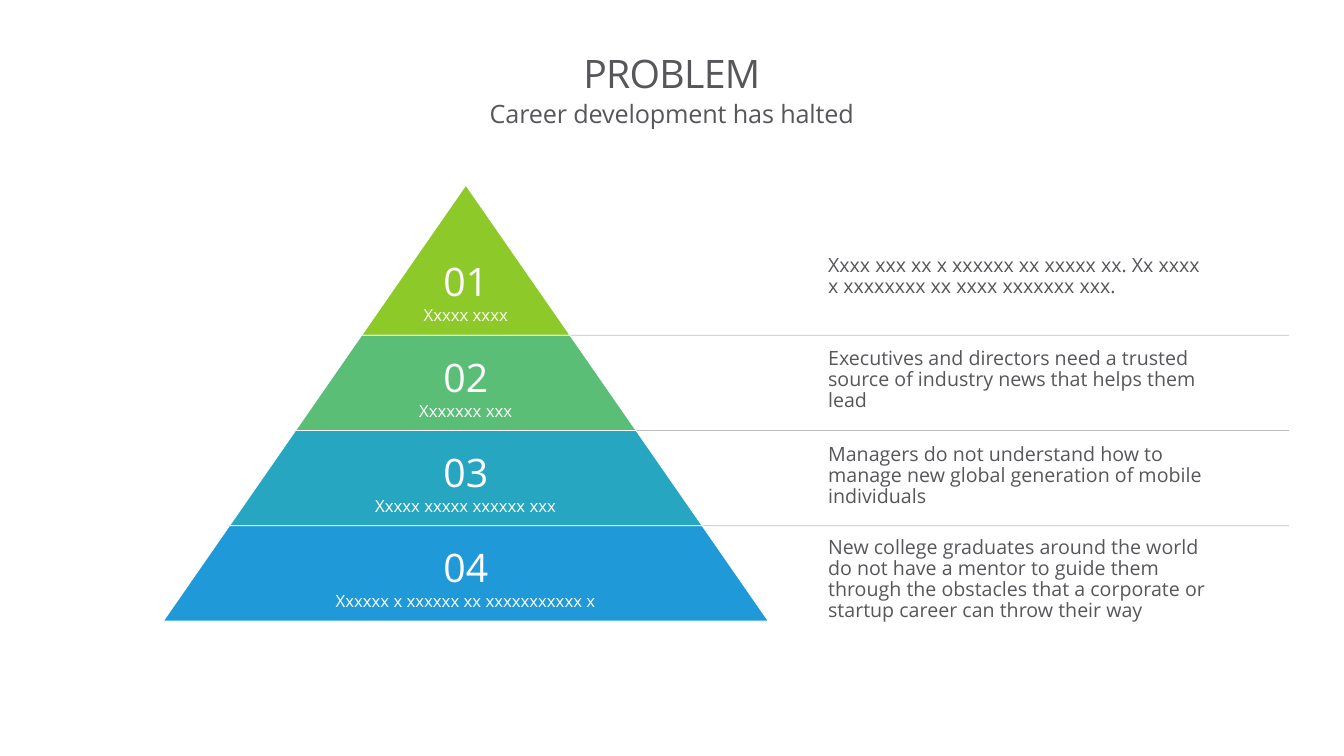
"""Build the career problem slide: a four-level pyramid with a description beside each level."""
from dataclasses import dataclass

from lxml.etree import SubElement
from pptx import Presentation
from pptx.dml.color import RGBColor
from pptx.enum.shapes import MSO_CONNECTOR, MSO_SHAPE
from pptx.enum.text import MSO_ANCHOR, MSO_AUTO_SIZE, PP_ALIGN
from pptx.oxml.ns import qn
from pptx.util import Cm, Pt

TITLE = "PROBLEM"
SUBTITLE = "Career development has halted"
LEVELS = [
    {"label": "Xxxxx xxxx", "height": 3.78, "fill": "8DC928",
     "text": "Xxxx xxx xx x xxxxxx xx xxxxx xx. Xx xxxx x xxxxxxxx xx xxxx xxxxxxx xxx.",
     "text_box": (6.32, 9.93, 1.35)},
    {"label": "Xxxxxxx xxx", "height": 2.4, "fill": "5BBE77",
     "text": "Executives and directors need a trusted source of industry news that helps them lead",
     "text_box": (8.66, 10.52, 1.35)},
    {"label": "Xxxxx xxxxx xxxxxx xxx", "height": 2.4, "fill": "27A6C2",
     "text": "Managers do not understand how to manage new global generation of mobile individuals",
     "text_box": (11.07, 9.93, 1.88)},
    {"label": "Xxxxxx x xxxxxx xx xxxxxxxxxxx x", "height": 2.4, "fill": "2099D8",
     "text": "New college graduates around the world do not have a mentor to guide them through "
             "the obstacles that a corporate or startup career can throw their way",
     "text_box": (13.41, 10.52, 2.41)},
]

APEX_X, APEX_Y = 11.74, 4.67
SLOPE = 0.694
RULE_LEFT, RULE_RIGHT = 12.8, 32.49
TEXT_LEFT = 20.62
NUMBER_W, NUMBER_H, NUMBER_RISE = 1.65, 1.45, 2.08


@dataclass(frozen=True)
class Theme:
    font: str = "Open Sans"
    ink: str = "57565A"
    white: str = "FFFFFF"
    rule: str = "808080"
    title: int = 28
    subtitle: int = 18
    text: int = 14
    label: int = 12
    number: int = 28
    hairline: float = 0.5


THEME = Theme()


def write(tf, text, size, color, align, spacing, anchor=MSO_ANCHOR.TOP, wrap=True):
    tf.auto_size = MSO_AUTO_SIZE.NONE
    tf.word_wrap = wrap
    tf.vertical_anchor = anchor
    p = tf.paragraphs[0]
    r = p.add_run()
    r.text = text
    p.alignment = align
    p.line_spacing = spacing
    p.space_before = Pt(0)
    p.font.name = THEME.font
    p.font.size = Pt(size)
    p.font.bold = False
    p.font.color.rgb = RGBColor.from_string(color)
    return r


def set_insets(tf, side, top, bottom):
    tf.margin_left = tf.margin_right = Cm(side)
    tf.margin_top, tf.margin_bottom = Cm(top), Cm(bottom)


def fill_heading(ph, top, height, text, size, anchor, tracking):
    ph.left, ph.top, ph.width, ph.height = Cm(2.54), Cm(top), Cm(28.78), Cm(height)
    set_insets(ph.text_frame, 0, 0, 0)
    r = write(ph.text_frame, text, size, THEME.ink, PP_ALIGN.CENTER, 0.86, anchor)
    r.font._element.set("spc", str(tracking))


def add_rule(s, y):
    line = s.shapes.add_connector(MSO_CONNECTOR.STRAIGHT, Cm(RULE_LEFT), Cm(y), Cm(RULE_RIGHT), Cm(y))
    line.line.width = Pt(THEME.hairline)
    line.line.color.rgb = RGBColor.from_string(THEME.rule)
    spPr = line._element.spPr
    SubElement(next(spPr.iter(qn("a:srgbClr"))), qn("a:alpha"), val="50000")
    SubElement(spPr, qn("a:effectLst"))


def add_level(s, level, top, bottom):
    half = SLOPE * (bottom - APEX_Y)
    sp = s.shapes.add_shape(MSO_SHAPE.TRAPEZOID, Cm(APEX_X - half), Cm(top), Cm(2 * half), Cm(bottom - top))
    sp.adjustments[0] = SLOPE
    sp.shadow.inherit = False
    sp.fill.solid()
    sp.fill.fore_color.rgb = RGBColor.from_string(level["fill"])
    sp.line.color.rgb = RGBColor.from_string(THEME.white)
    sp.line.width = Pt(THEME.hairline)
    set_insets(sp.text_frame, 0.05, 0.05, 0.25)
    write(sp.text_frame, level["label"], THEME.label, THEME.white, PP_ALIGN.CENTER, 0.9,
          MSO_ANCHOR.BOTTOM, wrap=False)


def main():
    prs = Presentation()
    prs.slide_width, prs.slide_height = Cm(33.87), Cm(19.05)
    s = prs.slides.add_slide(prs.slide_layouts.get_by_name("Section Header"))
    fill_heading(s.shapes.title, 0.79, 2.26, TITLE, THEME.title, MSO_ANCHOR.MIDDLE, -50)
    fill_heading(s.placeholders[1], 2.59, 1.12, SUBTITLE, THEME.subtitle, MSO_ANCHOR.TOP, -10)

    bottoms = [APEX_Y + sum(v["height"] for v in LEVELS[:i + 1]) for i in range(len(LEVELS))]
    for y in bottoms[:-1]:
        add_rule(s, y)
    for i, (level, bottom) in enumerate(zip(LEVELS, bottoms), 1):
        add_level(s, level, bottom - level["height"], bottom)
        number = s.shapes.add_textbox(Cm(APEX_X - NUMBER_W / 2), Cm(bottom - NUMBER_RISE),
                                      Cm(NUMBER_W), Cm(NUMBER_H))
        write(number.text_frame, f"{i:02}", THEME.number, THEME.white, PP_ALIGN.CENTER, 1.0, wrap=False)
        top, width, height = level["text_box"]
        note = s.shapes.add_textbox(Cm(TEXT_LEFT), Cm(top), Cm(width), Cm(height))
        write(note.text_frame, level["text"], THEME.text, THEME.ink, PP_ALIGN.LEFT, 0.9)

    prs.save("out.pptx")


if __name__ == "__main__":
    main()
